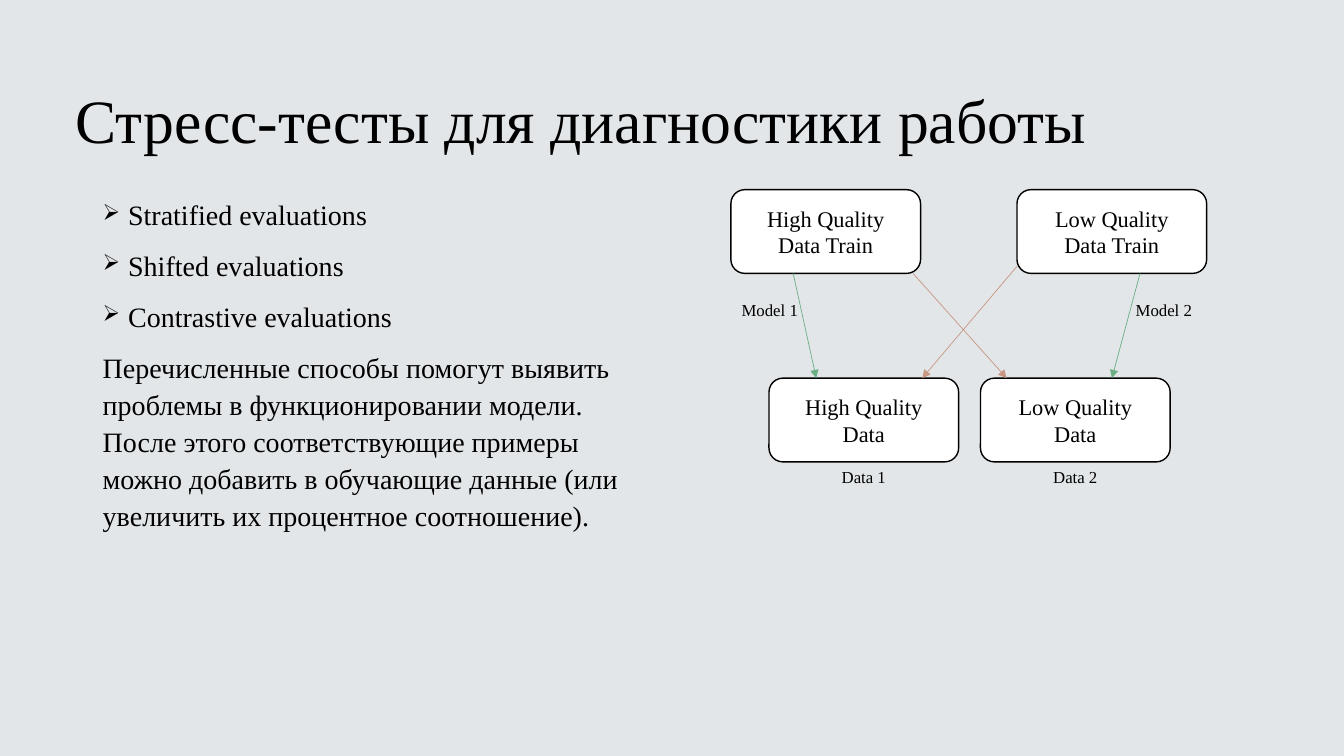
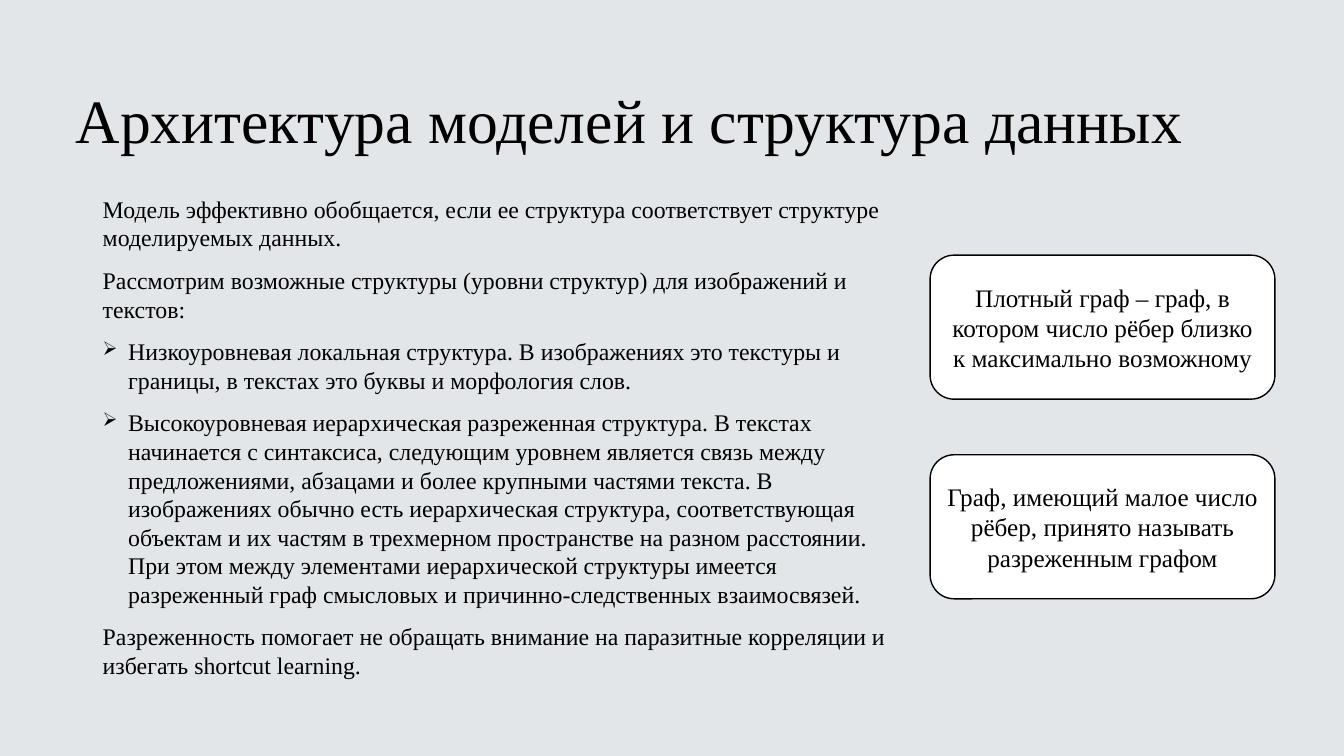
from dataclasses import dataclass

from lxml import etree
from pptx import Presentation
from pptx.dml.color import RGBColor
from pptx.enum.shapes import MSO_CONNECTOR, MSO_SHAPE
from pptx.enum.text import MSO_ANCHOR, MSO_AUTO_SIZE, PP_ALIGN
from pptx.oxml.ns import qn
from pptx.util import Cm, Pt

LEFT, CENTER = PP_ALIGN.LEFT, PP_ALIGN.CENTER
MIDDLE, BOTTOM = MSO_ANCHOR.MIDDLE, MSO_ANCHOR.BOTTOM
NO_AUTOFIT = MSO_AUTO_SIZE.NONE
ROUNDED = MSO_SHAPE.ROUNDED_RECTANGLE
STRAIGHT = MSO_CONNECTOR.STRAIGHT
TITLE_ONLY = 5


@dataclass(frozen=True)
class Theme:
    font: str = "Times New Roman"
    background: RGBColor = RGBColor(0xE2, 0xE6, 0xE8)
    ink: RGBColor = RGBColor(0, 0, 0)
    card: RGBColor = RGBColor(0xFF, 0xFF, 0xFF)
    same_quality: RGBColor = RGBColor(0x6B, 0xAF, 0x85)
    cross_quality: RGBColor = RGBColor(0xC7, 0x97, 0x83)
    title: int = 44
    methods: int = 20
    definition: int = 18
    structure: int = 17
    node: int = 16
    label: int = 12


THEME = Theme()

# Diagram measures, in centimetres
NODE_W, NODE_H = 4.78, 2.11
LABEL_W, LABEL_H = 1.96, 0.76
TRAIN_TOP, TEST_TOP = 4.78, 9.53
TRAIN_BOTTOM = TRAIN_TOP + NODE_H

METHODS = [
    ("Stratified evaluations", True),
    ("Shifted evaluations", True),
    ("Contrastive evaluations", True),
    ("Перечисленные способы помогут выявить проблемы в функционировании модели. "
     "После этого соответствующие примеры можно добавить в обучающие данные "
     "(или увеличить их процентное соотношение).", False),
]
STRUCTURES = [
    ("Модель эффективно обобщается, если ее структура соответствует структуре "
     "моделируемых данных.", False),
    ("Рассмотрим возможные структуры (уровни структур) для изображений и "
     "текстов:", False),
    ("Низкоуровневая локальная структура. В изображениях это текстуры и границы, "
     "в текстах это буквы и морфология слов.", True),
    ("Высокоуровневая иерархическая разреженная структура. В текстах начинается "
     "с синтаксиса, следующим уровнем является связь между предложениями, "
     "абзацами и более крупными частями текста. В изображениях обычно есть "
     "иерархическая структура, соответствующая объектам и их частям в трехмерном "
     "пространстве на разном расстоянии. При этом между элементами иерархической "
     "структуры имеется разреженный граф смысловых и причинно-следственных "
     "взаимосвязей.", True),
    ("Разреженность помогает не обращать внимание на паразитные корреляции и "
     "избегать shortcut learning.", False),
]
DEFINITIONS = [
    "Плотный граф – граф, в котором число рёбер близко к максимально возможному",
    "Граф, имеющий малое число рёбер, принято называть разреженным графом",
]


def format_paragraph(paragraph, size, align=LEFT):
    paragraph.alignment = align
    for run in paragraph.runs:
        run.font.name = THEME.font
        run.font.size = Pt(size)
        run.font.color.rgb = THEME.ink


def set_side_margins(frame, margin):
    frame.margin_left = frame.margin_right = Cm(margin)


def add_titled_slide(prs, text):
    slide = prs.slides.add_slide(prs.slide_layouts[TITLE_ONLY])
    title = slide.shapes.title
    title.left, title.top = Cm(1.65), Cm(1.63)
    title.width, title.height = Cm(30.84), Cm(2.44)
    frame = title.text_frame
    frame.text = text
    frame.auto_size = NO_AUTOFIT
    frame.vertical_anchor = BOTTOM
    frame.paragraphs[0].line_spacing = 0.9
    format_paragraph(frame.paragraphs[0], THEME.title)
    return slide


def add_bullet(paragraph):
    props = paragraph._p.get_or_add_pPr()
    props.set("marL", str(Cm(0.64)))
    props.set("indent", str(-Cm(0.64)))
    etree.SubElement(props, qn("a:buSzPct")).set("val", "80000")
    etree.SubElement(props, qn("a:buChar")).set("char", "➢")


def add_body(slide, items, width, size, line_spacing):
    box = slide.shapes.add_textbox(Cm(2.34), Cm(4.78), Cm(width), Cm(12.88))
    frame = box.text_frame
    frame.word_wrap = True
    for index, (text, bulleted) in enumerate(items):
        paragraph = frame.add_paragraph() if index else frame.paragraphs[0]
        paragraph.text = text
        if bulleted:
            add_bullet(paragraph)
        if index:
            paragraph.space_before = Pt(10)
        paragraph.line_spacing = line_spacing
        format_paragraph(paragraph, size)


def add_card(slide, text, left, top, width, height, size, margin=0.25):
    card = slide.shapes.add_shape(ROUNDED, Cm(left), Cm(top), Cm(width), Cm(height))
    card.shadow.inherit = False
    card.fill.solid()
    card.fill.fore_color.rgb = THEME.card
    card.line.color.rgb = THEME.ink
    card.line.width = Pt(1)
    frame = card.text_frame
    frame.text = text
    frame.word_wrap = True
    frame.vertical_anchor = MIDDLE
    set_side_margins(frame, margin)
    format_paragraph(frame.paragraphs[0], size, CENTER)


def add_label(slide, text, left, top):
    label = slide.shapes.add_textbox(Cm(left), Cm(top), Cm(LABEL_W), Cm(LABEL_H))
    frame = label.text_frame
    frame.text = text
    frame.word_wrap = True
    set_side_margins(frame, 0)
    format_paragraph(frame.paragraphs[0], THEME.label, CENTER)


def add_arrow(slide, start_x, start_y, end_x, end_y, color):
    arrow = slide.shapes.add_connector(
        STRAIGHT, Cm(start_x), Cm(start_y), Cm(end_x), Cm(end_y))
    arrow.line.color.rgb = color
    arrow.line.width = Pt(0.5)
    props = arrow._element.spPr
    etree.SubElement(props.find(qn("a:ln")), qn("a:tailEnd")).set("type", "triangle")
    etree.SubElement(props, qn("a:effectLst"))


def add_stress_diagram(slide):
    # Training sets above, test sets with captions below
    for text, left in (("High Quality Data Train", 18.42),
                       ("Low Quality Data Train", 25.63)):
        add_card(slide, text, left, TRAIN_TOP, NODE_W, NODE_H, THEME.node, 0.5)
    for text, caption, left in (("High Quality Data", "Data 1", 19.38),
                                ("Low Quality Data", "Data 2", 24.71)):
        add_card(slide, text, left, TEST_TOP, NODE_W, NODE_H, THEME.node, 0.5)
        add_label(slide, caption, left + (NODE_W - LABEL_W) / 2, TEST_TOP + NODE_H)

    # Evaluation arrows from training sets to test sets
    for start_x, start_y, end_x, color in (
            (23.01, TRAIN_BOTTOM, 25.37, THEME.cross_quality),
            (25.63, 6.71, 23.24, THEME.cross_quality),
            (19.99, TRAIN_BOTTOM, 20.57, THEME.same_quality),
            (28.73, TRAIN_BOTTOM, 28.02, THEME.same_quality)):
        add_arrow(slide, start_x, start_y, end_x, TEST_TOP, color)

    # Model names
    for text, left in (("Model 1", 18.42), ("Model 2", 28.35)):
        add_label(slide, text, left, 7.44)


def main():
    prs = Presentation()
    prs.slide_width, prs.slide_height = Cm(33.87), Cm(19.05)
    background = prs.slide_master.background.fill
    background.solid()
    background.fore_color.rgb = THEME.background

    # Stress tests
    stress = add_titled_slide(prs, "Стресс-тесты для диагностики работы")
    add_body(stress, METHODS, 14.6, THEME.methods, 1.1)
    add_stress_diagram(stress)

    # Model architecture
    architecture = add_titled_slide(prs, "Архитектура моделей и структура данных")
    add_body(architecture, STRUCTURES, 20.52, THEME.structure, 1.0)
    for index, text in enumerate(DEFINITIONS):
        add_card(architecture, text, 23.44, 6.43 + index * 5.03, 8.69, 3.63,
                 THEME.definition)

    prs.save("out.pptx")


if __name__ == "__main__":
    main()
